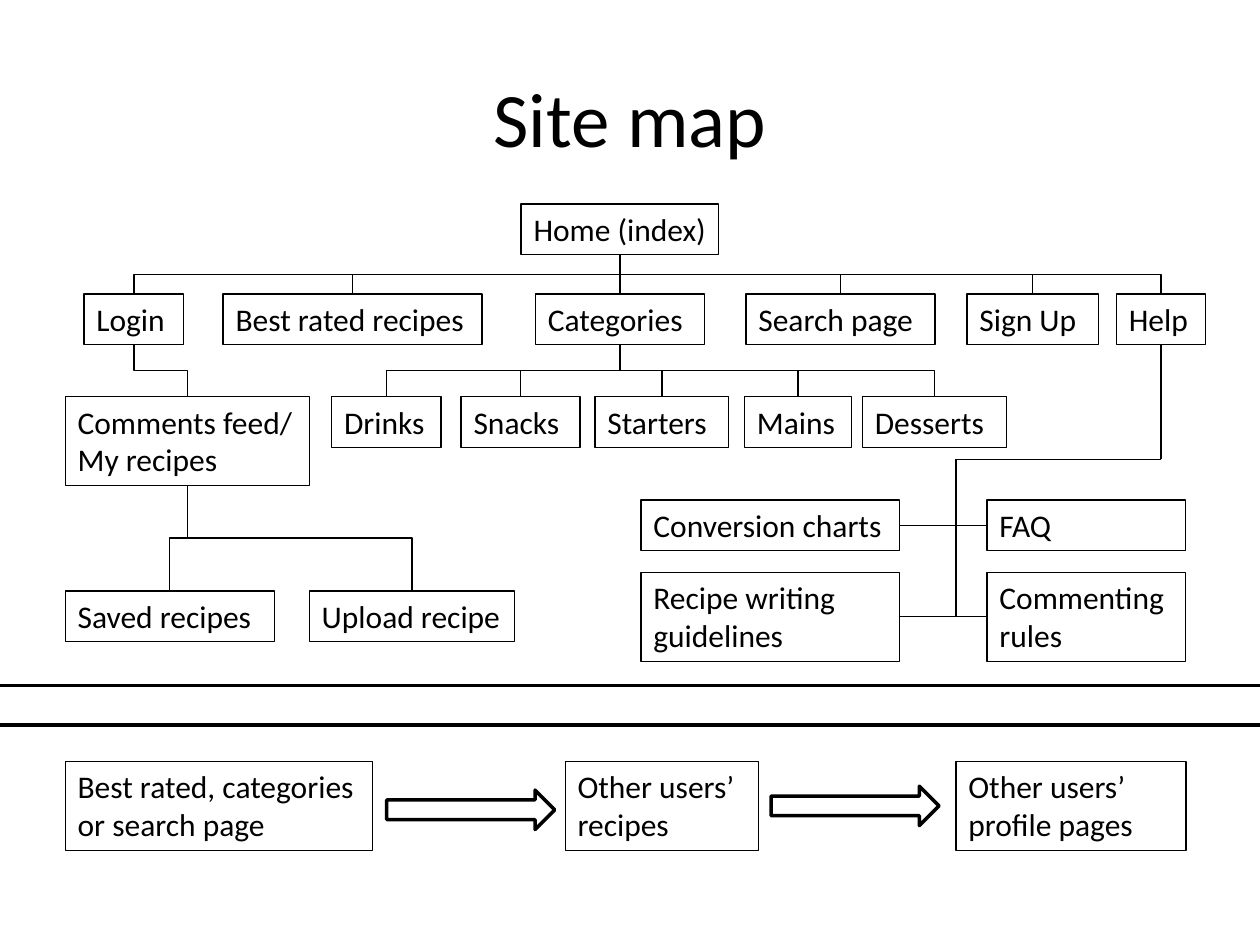
import pptx
import pptx.dml.color
import pptx.enum.shapes
import pptx.enum.text
import pptx.oxml
import pptx.util
import lxml.etree

Pt = pptx.util.Pt
Shapes = pptx.enum.shapes.MSO_SHAPE
Connectors = pptx.enum.shapes.MSO_CONNECTOR
Text = pptx.enum.text
BOTTOM, TOP, LEFT, RIGHT = 2, 0, 1, 3


def color(value):
    return pptx.dml.color.RGBColor.from_string(value)


class SiteMap:
    font = "Calibri"
    ink = "000000"
    paper = "FFFFFF"
    thin = 0.75
    thick = 2
    one_line = 29.08
    two_lines = 50.89

    def __init__(self, slide):
        self.slide = slide

    def add_words(self, paragraph, words, size, align):
        paragraph.alignment = align
        run = paragraph.add_run()
        run.text = words
        run.font.name = self.font
        run.font.size = Pt(size)
        run.font.color.rgb = color(self.ink)

    def outline(self, item, weight):
        item.line.color.rgb = color(self.ink)
        item.line.width = Pt(weight)

    def title(self, words, x, y, width, height):
        heading = self.slide.shapes.title
        heading.left, heading.top = Pt(x), Pt(y)
        heading.width, heading.height = Pt(width), Pt(height)
        heading.text_frame.vertical_anchor = Text.MSO_ANCHOR.MIDDLE
        self.add_words(heading.text_frame.paragraphs[0], words, 44, Text.PP_ALIGN.CENTER)

    def page(self, words, x, y, width, height=one_line):
        box = self.slide.shapes.add_shape(Shapes.RECTANGLE, Pt(x), Pt(y), Pt(width), Pt(height))
        box.shadow.inherit = False
        box.fill.background()
        self.outline(box, self.thin)
        frame = box.text_frame
        frame.word_wrap = True
        frame.auto_size = Text.MSO_AUTO_SIZE.SHAPE_TO_FIT_TEXT
        frame.vertical_anchor = Text.MSO_ANCHOR.TOP
        for index, line in enumerate(words.split("\n")):
            paragraph = frame.add_paragraph() if index else frame.paragraphs[0]
            self.add_words(paragraph, line, 18, Text.PP_ALIGN.LEFT)
        return box

    def block(self, preset, x, y, width, height):
        shape = self.slide.shapes.add_shape(preset, Pt(x), Pt(y), Pt(width), Pt(height))
        shape.shadow.inherit = False
        shape.fill.solid()
        shape.fill.fore_color.rgb = color(self.paper)
        self.outline(shape, self.thick)

    def connector(self, kind, x1=0, y1=0, x2=0, y2=0):
        link = self.slide.shapes.add_connector(kind, Pt(x1), Pt(y1), Pt(x2), Pt(y2))
        self.outline(link, self.thin)
        properties = link.element.spPr
        lxml.etree.SubElement(properties, pptx.oxml.ns.qn("a:effectLst"))
        return link

    def join(self, start, start_site, end, end_site, kind=Connectors.STRAIGHT):
        link = self.connector(kind)
        link.begin_connect(start, start_site)
        link.end_connect(end, end_site)
        return link

    def branch(self, parent, child):
        parent_x = parent.left + parent.width // 2
        child_x = child.left + child.width // 2
        shift = child_x - parent_x
        if abs(shift) < Pt(1):
            self.join(parent, BOTTOM, child, TOP)
            return
        link = self.join(parent, BOTTOM, child, TOP, Connectors.ELBOW)
        start_y = parent.top + parent.height
        drop = child.top - start_y
        link.left = (parent_x + child_x - drop) // 2
        link.top = start_y + (drop - abs(shift)) // 2
        link.width, link.height = drop, abs(shift)
        frame = link.element.spPr.xfrm
        frame.flipH, frame.flipV = False, shift > 0
        frame.set("rot", "5400000")


deck = pptx.Presentation()
deck.slide_width, deck.slide_height = Pt(720), Pt(540)
site = SiteMap(deck.slides.add_slide(deck.slide_layouts[5]))
site.title("Site map", 36, 21.6, 648, 90)

home = site.page("Home (index)", 297.8, 116.6, 113)


def row(y, pages):
    return [site.page(words, x, y, width) for words, x, width in pages]


sections = row(168, [
    ("Login", 48, 57),
    ("Best rated recipes", 127.5, 148),
    ("Categories", 306, 96.6),
    ("Search page", 426.3, 108),
    ("Sign Up", 552.6, 75),
    ("Help", 638, 51),
])
login, categories, help_page = sections[0], sections[2], sections[5]
courses = row(226.5, [
    ("Drinks", 189.5, 62.5),
    ("Snacks", 263.5, 68),
    ("Starters", 340, 76.5),
    ("Mains", 425.5, 61),
    ("Desserts", 492.8, 82.5),
])
feed = site.page("Comments feed/\nMy recipes", 37.3, 226.5, 139.7, site.two_lines)
recipes = row(337.7, [("Saved recipes", 37.3, 119.5), ("Upload recipe", 176.8, 117.4)])

for parent, children in [(home, sections), (login, [feed]), (categories, courses), (feed, recipes)]:
    for child in children:
        site.branch(parent, child)

for left_words, right_words, y, height in [
    ("Conversion charts", "FAQ", 285.7, site.one_line),
    ("Recipe writing guidelines", "Commenting rules", 327, site.two_lines),
]:
    left_page = site.page(left_words, 366.3, y, 147.7, height)
    right_page = site.page(right_words, 564, y, 113.4, height)
    site.join(left_page, RIGHT, right_page, LEFT)

help_x = (help_page.left + help_page.width // 2) / Pt(1)
help_y = (help_page.top + help_page.height) / Pt(1)
help_route = [(help_x, help_y), (help_x, 262.5), (546.3, 262.5), (546.3, 352.45)]
for start, end in zip(help_route, help_route[1:]):
    site.connector(Connectors.STRAIGHT, *start, *end)

site.block(Shapes.RECTANGLE, -3, 391.7, 726, 22.5)

for words, x, width in [
    ("Best rated, categories or search page", 37.3, 175.7),
    ("Other users’ recipes", 323, 110.5),
    ("Other users’ profile pages", 546.3, 131.5),
]:
    site.page(words, x, 435, width, site.two_lines)
for x, y in [(221, 451.5), (440.6, 449.3)]:
    site.block(Shapes.RIGHT_ARROW, x, y, 96, 22.5)

deck.save("out.pptx")
